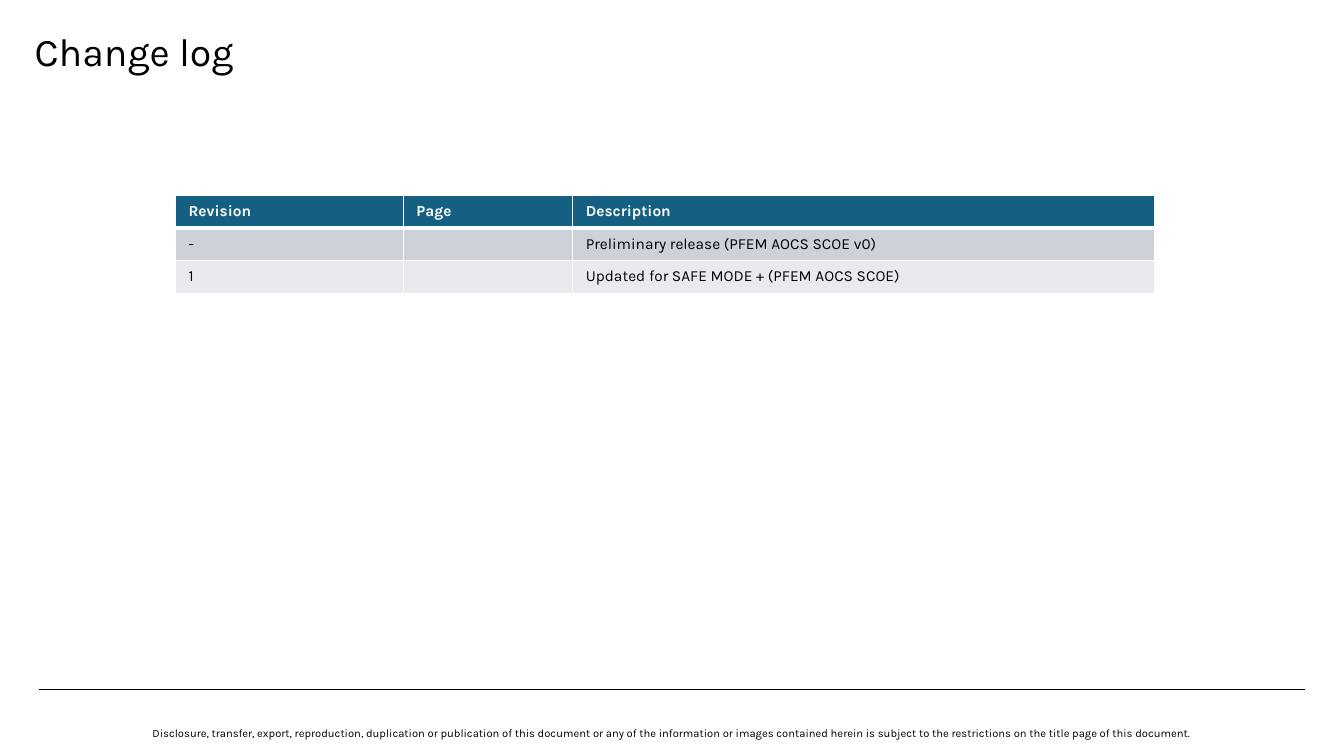
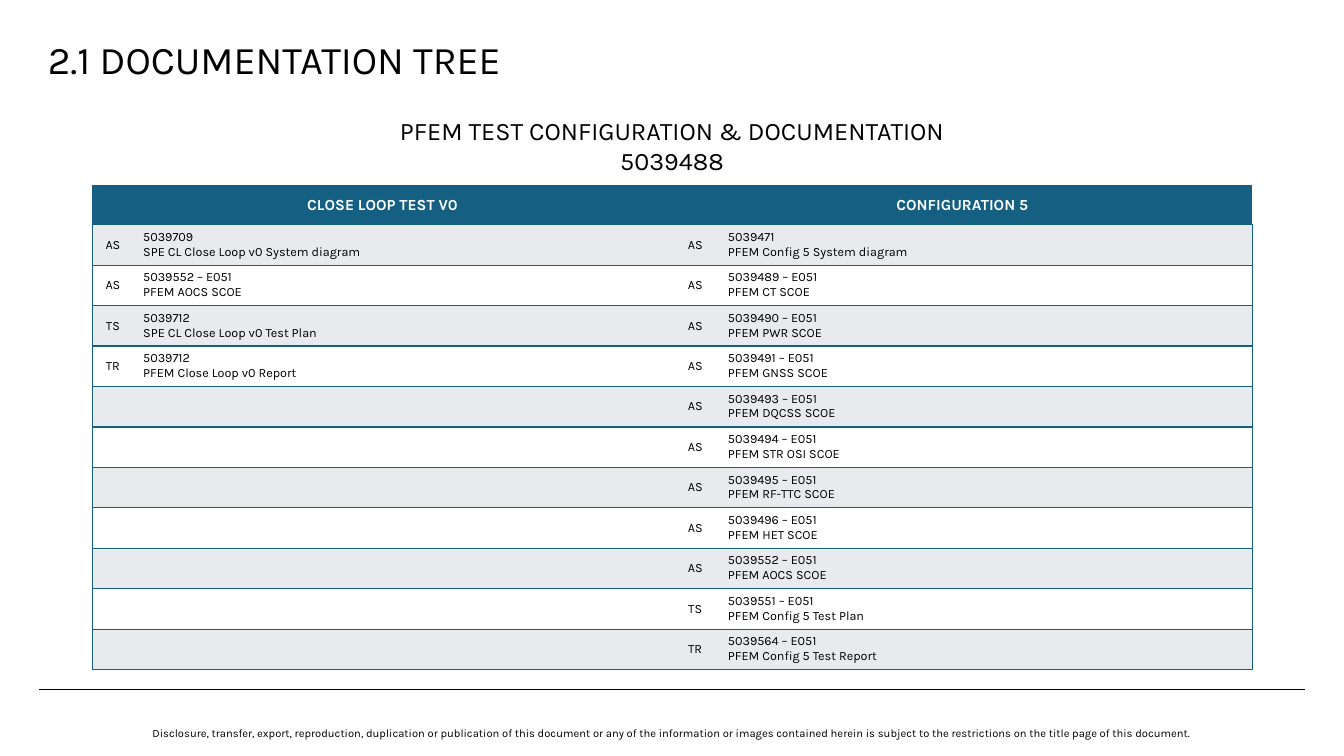
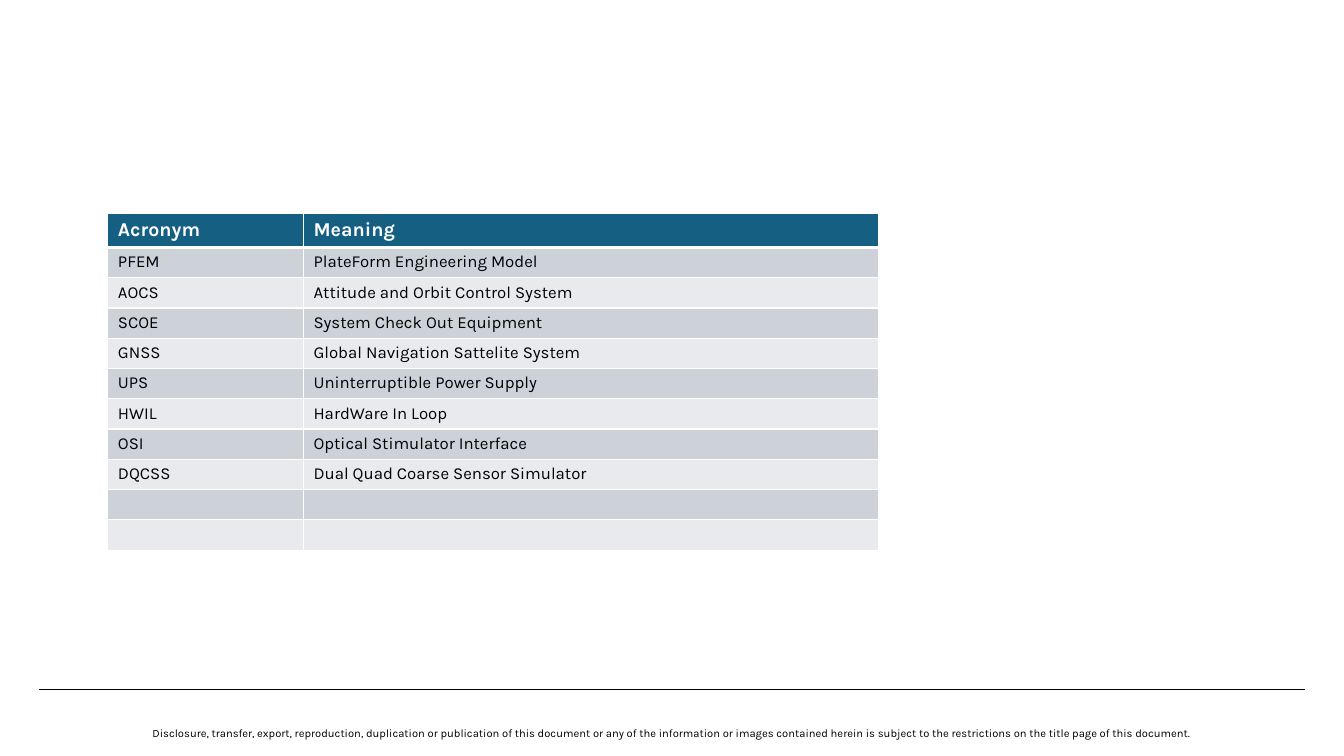
from lxml.etree import SubElement
from pptx import Presentation
from pptx.dml.color import RGBColor
from pptx.enum.shapes import MSO_CONNECTOR as CONNECTOR
from pptx.enum.text import MSO_ANCHOR as ANCHOR, PP_ALIGN as ALIGN
from pptx.oxml.ns import qn
from pptx.util import Inches, Pt

COLORS = {"black": "000000", "white": "FFFFFF", "teal": "156082",
          "band": "CCD2D8", "pale": "E8EAED"}
FONT = "Karla"
DISCLOSURE = ("Disclosure, transfer, export, reproduction, duplication or publication of this "
              "document or any of the information or images contained herein is subject to the "
              "restrictions on the title page of this document.")
CHANGES = [("Revision", "Page", "Description"),
           ("-", "", "Preliminary release (PFEM AOCS SCOE v0)"),
           ("1", "", "Updated for SAFE MODE + (PFEM AOCS SCOE)")]
CLOSE_LOOP = [("AS", "5039709\nSPE CL Close Loop v0 System diagram"),
              ("AS", "5039552 – E051\nPFEM AOCS SCOE"),
              ("TS", "5039712\nSPE CL Close Loop v0 Test Plan"),
              ("TR", "5039712\nPFEM Close Loop v0 Report")]
CONFIGURATION = [("AS", "5039471\nPFEM Config 5 System diagram"),
                 ("AS", "5039489 – E051\nPFEM CT SCOE"),
                 ("AS", "5039490 – E051\nPFEM PWR SCOE"),
                 ("AS", "5039491 – E051\nPFEM GNSS SCOE"),
                 ("AS", "5039493 – E051\nPFEM DQCSS SCOE"),
                 ("AS", "5039494 – E051\nPFEM STR OSI SCOE"),
                 ("AS", "5039495 – E051\nPFEM RF-TTC SCOE"),
                 ("AS", "5039496 – E051\nPFEM HET SCOE"),
                 ("AS", "5039552 – E051\nPFEM AOCS SCOE"),
                 ("TS", "5039551 – E051\nPFEM Config 5 Test Plan"),
                 ("TR", "5039564 – E051\nPFEM Config 5 Test Report")]
ACRONYMS = [("Acronym", "Meaning"),
            ("PFEM", "PlateForm Engineering Model"),
            ("AOCS", "Attitude and Orbit Control System"),
            ("SCOE", "System Check Out Equipment"),
            ("GNSS", "Global Navigation Sattelite System"),
            ("UPS", "Uninterruptible Power Supply"),
            ("HWIL", "HardWare In Loop"),
            ("OSI", "Optical Stimulator Interface"),
            ("DQCSS", "Dual Quad Coarse Sensor Simulator"),
            ("", ""),
            ("", "")]


def rgb(color):
    """Return the named colour."""
    return RGBColor.from_string(COLORS[color])


def write(frame, text, size, color="black", bold=False, align=ALIGN.LEFT, spacing=None):
    """Write one paragraph per line of text into a text frame."""
    for index, line in enumerate(text.split("\n")):
        paragraph = frame.paragraphs[0] if index == 0 else frame.add_paragraph()
        paragraph.alignment = align
        paragraph.line_spacing = spacing
        if not line:
            SubElement(paragraph._p, qn("a:endParaRPr"), sz=str(size * 100))
            continue
        run = paragraph.add_run()
        run.text = line
        run.font.name = FONT
        run.font.size = Pt(size)
        run.font.bold = bold
        run.font.color.rgb = rgb(color)


def add_text(slide, box, text, anchor=ANCHOR.TOP, wrap=True, **style):
    """Place a text box at box, given in inches."""
    frame = slide.shapes.add_textbox(*map(Inches, box)).text_frame
    frame.word_wrap = wrap
    frame.vertical_anchor = anchor
    write(frame, text, **style)


def add_title(slide, left, top, text):
    """Place a slide title."""
    add_text(slide, (left, top, 5.02, 0.94), text, anchor=ANCHOR.MIDDLE,
             size=28, align=ALIGN.CENTER, spacing=0.9)


def add_page(deck):
    """Add a slide with the shared footer rule and disclosure."""
    slide = deck.slides.add_slide(deck.slide_layouts[6])
    rule = slide.shapes.add_connector(
        CONNECTOR.STRAIGHT, *map(Inches, (0.39, 6.84, 12.94, 6.84)))
    rule.line.color.rgb = rgb("black")
    rule.line.width = Pt(1.25)
    SubElement(rule._element.spPr, qn("a:effectLst"))
    add_text(slide, (1.03, 7.16, 11.28, 0.24), DISCLOSURE, size=8, align=ALIGN.CENTER)
    return slide


def set_borders(cell, color, **widths):
    """Draw the L, R, T and B borders; a zero width hides one."""
    properties = cell._tc.get_or_add_tcPr()
    for side in "LRTB":
        width = widths[side]
        line = SubElement(properties, qn(f"a:ln{side}"), w=str(Pt(width)))
        if width:
            fill = SubElement(line, qn("a:solidFill"))
            SubElement(fill, qn("a:srgbClr"), val=COLORS[color])
        else:
            SubElement(line, qn("a:noFill"))


def add_grid(slide, left, top, columns, heights):
    """Add an unbanded table with the given column widths and row heights."""
    box = map(Inches, (left, top, sum(columns), sum(heights)))
    table = slide.shapes.add_table(len(heights), len(columns), *box).table
    table.first_row = table.horz_banding = False
    for column, width in zip(table.columns, columns):
        column.width = Inches(width)
    for row, height in zip(table.rows, heights):
        row.height = Inches(height)
    return table


def fill_cell(cell, text, background, **style):
    """Fill a cell with a background colour and its text."""
    cell.fill.solid()
    cell.fill.fore_color.rgb = rgb(background)
    write(cell.text_frame, text, **style)


def add_banded_table(slide, left, top, columns, heights, rows, sizes, margins=(0.1, 0.05)):
    """Add a table with a teal header, two grey bands and white rules."""
    table = add_grid(slide, left, top, columns, heights)
    for r, row in enumerate(rows):
        for c, text in enumerate(row):
            cell = table.cell(r, c)
            cell.margin_left = cell.margin_right = Inches(margins[0])
            cell.margin_top = cell.margin_bottom = Inches(margins[1])
            set_borders(cell, "white", L=1, R=1, T=3 if r == 1 else 1, B=3 if r == 0 else 1)
            if r == 0:
                fill_cell(cell, text, "teal", size=sizes[0], color="white", bold=True)
            else:
                fill_cell(cell, text, "band" if r % 2 else "pale", size=sizes[1])


def add_document_table(slide, left, top):
    """Add the two side-by-side document lists under merged headers."""
    count = len(CONFIGURATION)
    close_loop = CLOSE_LOOP + [("", "")] * (count - len(CLOSE_LOOP))
    rows = [("CLOSE LOOP TEST V0", "", "CONFIGURATION 5", "")]
    rows += [first + second for first, second in zip(close_loop, CONFIGURATION)]
    table = add_grid(slide, left, top, (0.4, 5.35, 0.45, 5.3), [0.39] + [0.4] * count)
    for r, row in enumerate(rows):
        for c, text in enumerate(row):
            cell = table.cell(r, c)
            set_borders(cell, "teal", L=int(c == 0), R=int(c == 3), T=1, B=1)
            if r == 0:
                cell.vertical_anchor = ANCHOR.MIDDLE
                fill_cell(cell, text, "teal", size=11, color="white", bold=True,
                          align=ALIGN.CENTER)
                continue
            is_code = c % 2 == 0
            cell.vertical_anchor = ANCHOR.MIDDLE if is_code else ANCHOR.TOP
            fill_cell(cell, text, "pale" if r % 2 else "white", size=9,
                      align=ALIGN.CENTER if is_code else ALIGN.LEFT)
    for c in (0, 2):
        table.cell(0, c).merge(table.cell(0, c + 1))


def build_change_log(deck):
    """Build the change log slide."""
    slide = add_page(deck)
    add_title(slide, -1.18, 0.06, "Change log")
    add_banded_table(slide, 1.74, 1.94, (2.26, 1.68, 5.77), (0.31, 0.32, 0.32),
                     CHANGES, sizes=(11, 11), margins=(0.13, 0.07))


def build_documentation_tree(deck):
    """Build the documentation tree slide."""
    slide = add_page(deck)
    add_document_table(slide, 0.92, 1.84)
    add_text(slide, (3.84, 1.09, 5.65, 0.71),
             "PFEM TEST CONFIGURATION & DOCUMENTATION\n5039488",
             wrap=False, size=18, align=ALIGN.CENTER)
    add_title(slide, 0.21, 0.14, "2.1 DOCUMENTATION TREE")


def build_acronyms(deck):
    """Build the acronym slide."""
    slide = add_page(deck)
    add_banded_table(slide, 1.07, 2.12, (1.94, 5.7), [0.33] + [0.3] * 10,
                     ACRONYMS, sizes=(14, 12))


def main():
    """Build and save the deck."""
    deck = Presentation()
    deck.slide_width = Inches(13.33)
    deck.slide_height = Inches(7.5)
    build_change_log(deck)
    build_documentation_tree(deck)
    build_acronyms(deck)
    deck.save("out.pptx")


if __name__ == "__main__":
    main()
